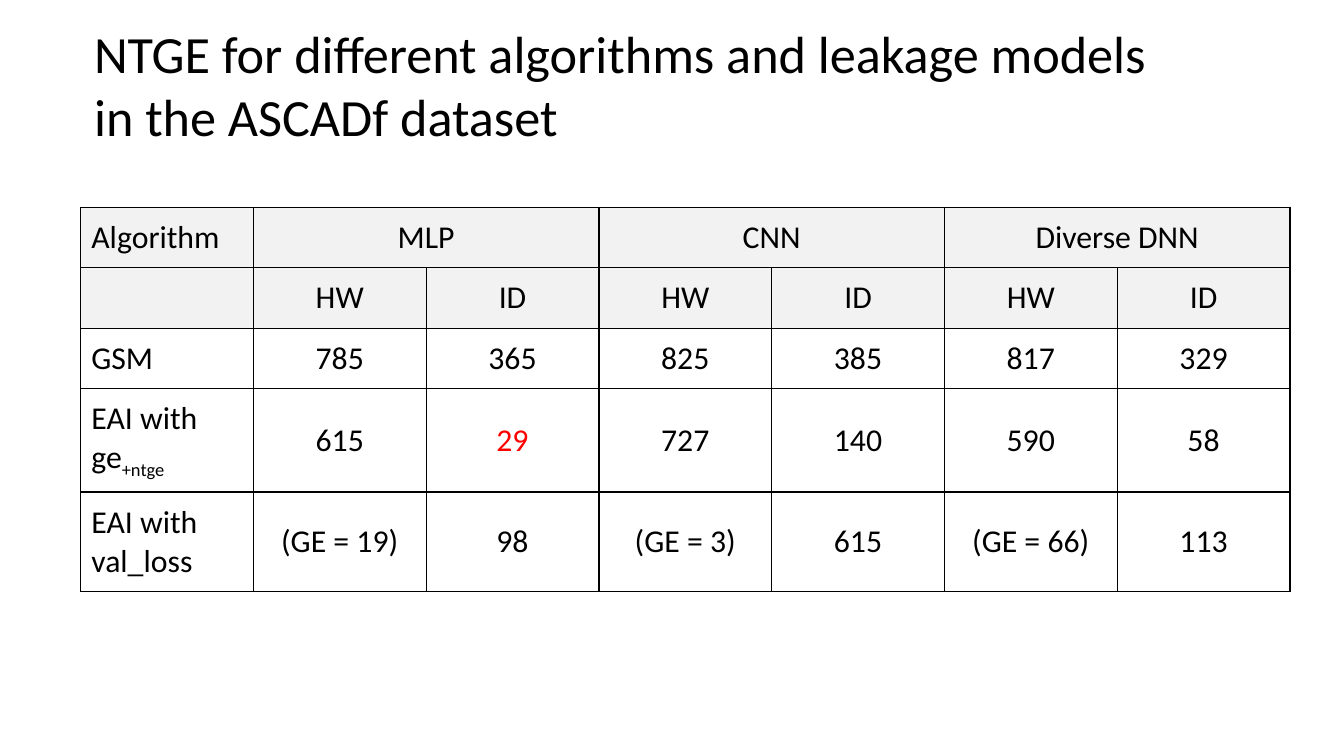
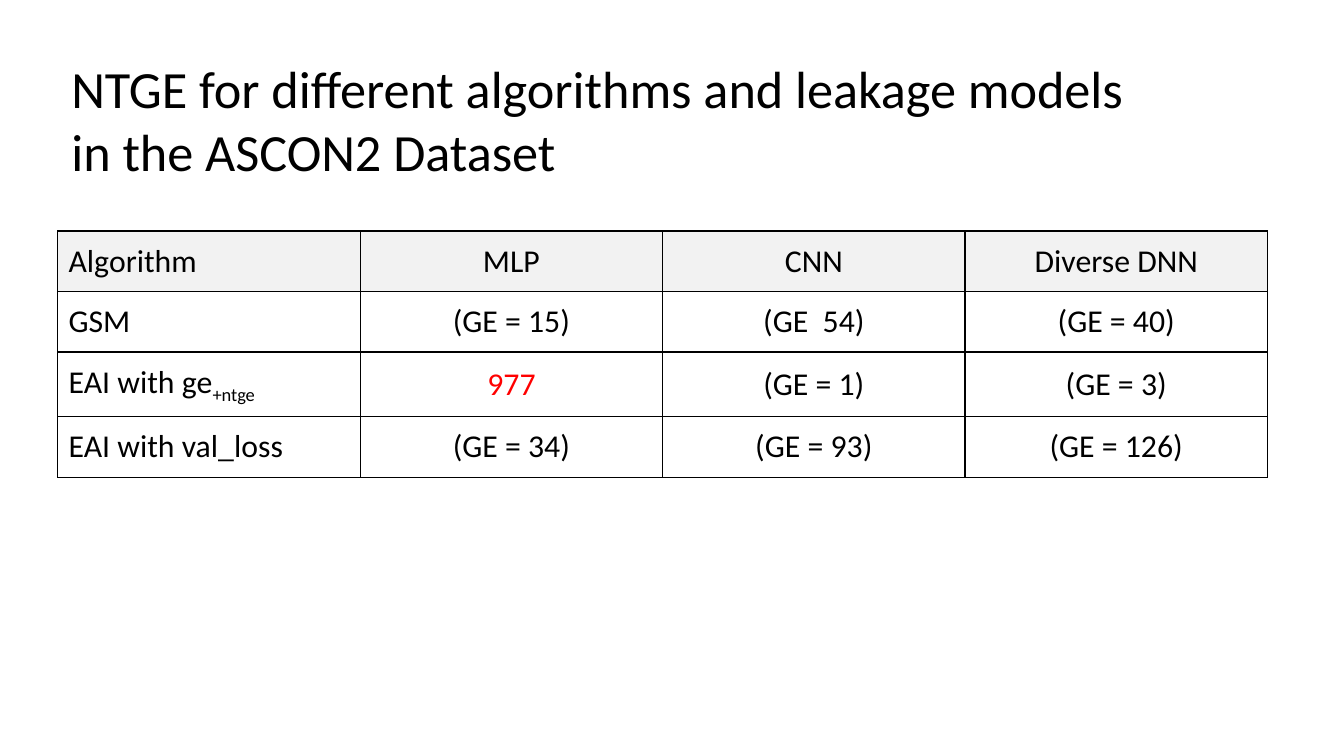
"""Build two slides of NTGE results, one table for each dataset."""
from dataclasses import dataclass

from lxml.etree import fromstring
from pptx import Presentation
from pptx.dml.color import RGBColor
from pptx.enum.text import MSO_ANCHOR, MSO_AUTO_SIZE, PP_ALIGN
from pptx.oxml.ns import nsdecls
from pptx.util import Pt


@dataclass(frozen=True)
class Theme:
    """Colours, font and type sizes of the deck."""
    font: str = "Calibri"
    ink: str = "000000"
    best: str = "FF0000"
    header: str = "F2F2F2"
    title_size: int = 28
    cell_size: int = 17
    border: float = 0.75
    cell_margin: float = 5.76


THEME = Theme()
TITLE_LINE = "NTGE for different algorithms and leakage models"
NETWORKS = ["MLP", "CNN", "Diverse DNN"]
GSM, EAI_GE, EAI_LOSS = ("GSM",), ("EAI with ge", "+ntge"), ("EAI with val_loss",)
TABLE_WIDTH = 648
ROW, TALL_ROW = 32.4, 53.4

SLIDES = [
    {
        "dataset": "in the ASCADf dataset",
        "title_at": (43.2, 7.9, 612, 75),
        "table_at": (43.2, 111),
        "row_heights": [ROW, ROW, ROW, TALL_ROW, TALL_ROW],
        "header_rows": 2,
        "best": "29",
        "rows": [
            [("Algorithm",)] + [entry for name in NETWORKS for entry in (name, None)],
            [("",)] + ["HW", "ID"] * len(NETWORKS),
            [GSM, "785", "365", "825", "385", "817", "329"],
            [EAI_GE, "615", "29", "727", "140", "590", "58"],
            [EAI_LOSS, "(GE = 19)", "98", "(GE = 3)", "615", "(GE = 66)", "113"],
        ],
    },
    {
        "dataset": "in the ASCON2 Dataset",
        "title_at": (31, 26.6, 689, 75),
        "table_at": (31, 123.8),
        "row_heights": [ROW] * 4,
        "header_rows": 1,
        "best": "977",
        "rows": [
            [("Algorithm",)] + NETWORKS,
            [GSM, "(GE = 15)", "(GE  54)", "(GE = 40)"],
            [EAI_GE, "977", "(GE = 1)", "(GE = 3)"],
            [EAI_LOSS, "(GE = 34)", "(GE = 93)", "(GE = 126)"],
        ],
    },
]


def add_span(para, text, size, colour=THEME.ink):
    """Add one run in the deck's font."""
    span = para.add_run()
    span.text = text
    span.font.name = THEME.font
    span.font.size = Pt(size)
    span.font.color.rgb = RGBColor.from_string(colour)
    return span


def add_borders(cell):
    """Draw a thin line on all four sides of a cell."""
    properties = cell._tc.get_or_add_tcPr()
    for index, side in enumerate(("lnL", "lnR", "lnT", "lnB")):
        properties.insert(index, fromstring(
            f'<a:{side} {nsdecls("a")} w="{Pt(THEME.border)}"><a:solidFill>'
            f'<a:srgbClr val="{THEME.ink}"/></a:solidFill></a:{side}>'))


deck = Presentation()
deck.slide_width, deck.slide_height = Pt(720), Pt(405)
title_only = deck.slide_layouts[5]

for content in SLIDES:
    page = deck.slides.add_slide(title_only)

    title = page.shapes.title
    title.left, title.top, title.width, title.height = map(Pt, content["title_at"])
    frame = title.text_frame
    frame.word_wrap = True
    frame.auto_size = MSO_AUTO_SIZE.NONE
    frame.vertical_anchor = MSO_ANCHOR.TOP
    for para, line in ((frame.paragraphs[0], TITLE_LINE),
                       (frame.add_paragraph(), content["dataset"])):
        para.alignment = PP_ALIGN.LEFT
        add_span(para, line, THEME.title_size)

    rows, heights = content["rows"], content["row_heights"]
    left, top = content["table_at"]
    table = page.shapes.add_table(len(rows), len(rows[0]), Pt(left), Pt(top),
                                  Pt(TABLE_WIDTH), Pt(sum(heights))).table
    table.first_row = table.horz_banding = False
    for column in table.columns:
        column.width = Pt(TABLE_WIDTH / len(rows[0]))

    for row_index, (entries, height) in enumerate(zip(rows, heights)):
        table.rows[row_index].height = Pt(height)
        for column_index, entry in enumerate(entries):
            cell = table.cell(row_index, column_index)
            if row_index < content["header_rows"]:
                cell.fill.solid()
                cell.fill.fore_color.rgb = RGBColor.from_string(THEME.header)
            else:
                cell.fill.background()
            add_borders(cell)
            if entry is None:
                table.cell(row_index, column_index - 1).merge(cell)
                continue
            if entry == ("",):
                continue

            cell.vertical_anchor = MSO_ANCHOR.MIDDLE
            cell.margin_left = cell.margin_right = Pt(THEME.cell_margin)
            cell.margin_top = cell.margin_bottom = Pt(THEME.cell_margin)
            para = cell.text_frame.paragraphs[0]
            if column_index == 0:
                para.alignment = PP_ALIGN.LEFT
                add_span(para, entry[0], THEME.cell_size)
                for subscript in entry[1:]:
                    span = add_span(para, subscript, THEME.cell_size)
                    span._r.get_or_add_rPr().set("baseline", "-25000")
            else:
                para.alignment = PP_ALIGN.CENTER
                colour = THEME.best if entry == content["best"] else THEME.ink
                add_span(para, entry, THEME.cell_size, colour)

deck.save("out.pptx")
